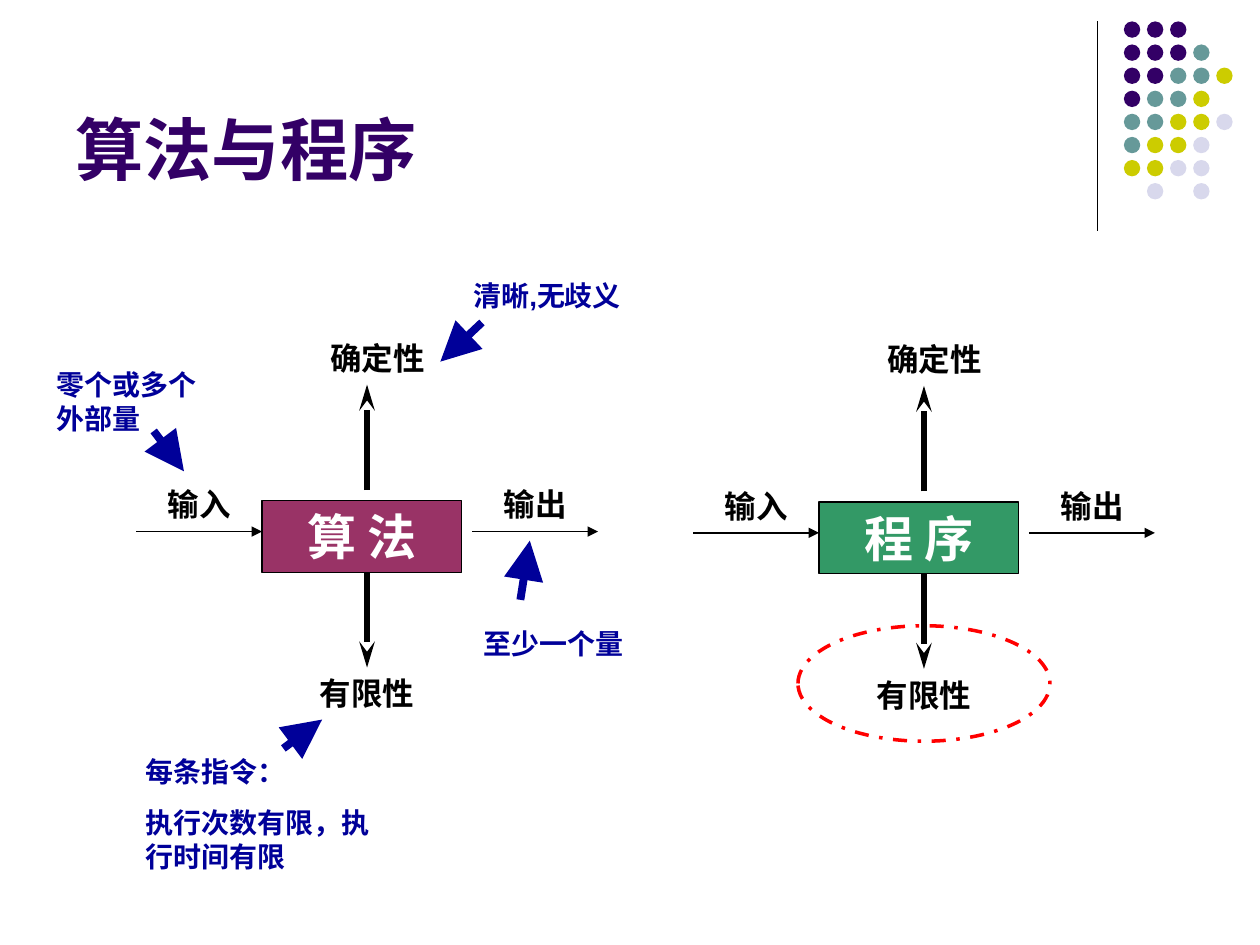
from collections import namedtuple

from lxml.etree import SubElement
from pptx import Presentation
from pptx.dml.color import RGBColor
from pptx.enum.dml import MSO_LINE
from pptx.enum.shapes import MSO_CONNECTOR, MSO_SHAPE
from pptx.enum.text import MSO_ANCHOR, PP_ALIGN
from pptx.oxml.ns import qn
from pptx.util import Inches, Pt

Box = namedtuple("Box", "left top width height")
CELL = 1 / 12
BLACK, PURPLE, NAVY = "000000", "330066", "000099"
DOT_COLORS = {"P": PURPLE, "T": "669999", "Y": "CCCC00", "L": "D8D8EC"}
DOT_ROWS = ("PPP", "PPPT", "PPTTY", "PTTY", "TTYYL", "TYYL", "YYLL", " L L")


def color(value):
    return RGBColor.from_string(value)


def inches(values):
    return [Inches(value) for value in values]


def cells(box, column, row, columns, rows):
    return Box(box.left + column * CELL, box.top + row * CELL,
               columns * CELL, rows * CELL)


def point(box, column, row):
    return box.left + column * CELL, box.top + row * CELL


def share(box, across, down):
    return box.left + across * box.width, box.top + down * box.height


def write(shape, lines, size, fill, align=PP_ALIGN.LEFT,
          anchor=MSO_ANCHOR.TOP, gap=0):
    frame = shape.text_frame
    frame.word_wrap = True
    frame.vertical_anchor = anchor
    for index, line in enumerate(lines):
        paragraph = frame.add_paragraph() if index else frame.paragraphs[0]
        paragraph.alignment = align
        paragraph.space_before = Pt(gap if index else 0)
        run = paragraph.add_run()
        run.text = line
        run.font.name = "Arial"
        run.font.size = Pt(size)
        run.font.bold = True
        run.font.color.rgb = color(fill)


def add_text(slide, box, lines, size, fill, **options):
    write(slide.shapes.add_textbox(*inches(box)), lines, size, fill, **options)


def add_shape(slide, kind, box, fill=None, line=None, width=0.75):
    shape = slide.shapes.add_shape(kind, *inches(box))
    shape.shadow.inherit = False
    if fill:
        shape.fill.solid()
        shape.fill.fore_color.rgb = color(fill)
    else:
        shape.fill.background()
    if line:
        shape.line.color.rgb = color(line)
        shape.line.width = Pt(width)
    else:
        shape.line.fill.background()
    return shape


def add_line(slide, start, end, fill=BLACK, width=0.75, **head):
    connector = slide.shapes.add_connector(
        MSO_CONNECTOR.STRAIGHT, *inches(start + end))
    connector.line.color.rgb = color(fill)
    connector.line.width = Pt(width)
    if head:
        SubElement(connector.line._get_or_add_ln(), qn("a:tailEnd"), **head)
    SubElement(connector._element.spPr, qn("a:effectLst"))


def draw_dots(slide, box):
    add_line(slide, (box.left, box.top), (box.left, box.top + box.height))
    pitch = 2.2 * CELL
    for row, marks in enumerate(DOT_ROWS):
        for column, mark in enumerate(marks):
            if mark in DOT_COLORS:
                dot = Box(box.left + 0.21 + column * pitch,
                          box.top + row * pitch, 0.13, 0.13)
                add_shape(slide, MSO_SHAPE.OVAL, dot, DOT_COLORS[mark])


def draw_title(slide, box):
    add_text(slide, box, ["算法与程序"], 39, PURPLE, anchor=MSO_ANCHOR.BOTTOM)


def draw_properties(slide, box, name, fill):
    core = add_shape(slide, MSO_SHAPE.RECTANGLE,
                     cells(box, 12, 16, 19, 6.85), fill, BLACK)
    write(core, [name], 28, "FFFFFF", align=PP_ALIGN.CENTER)
    for column in (0, 32):
        add_line(slide, point(box, column, 18.95),
                 point(box, column + 12, 18.95), type="triangle")
    for start, end in ((15, 4.95), (22.9, 31.9)):
        add_line(slide, point(box, 22, start), point(box, 22, end),
                 width=3, type="stealth", w="med", len="lg")
    for text, column, row, columns in (
            ("输入", 1, 13.95, 10), ("输出", 33, 13.95, 10),
            ("确定性", 14, 0, 18), ("有限性", 13, 31.95, 18)):
        add_text(slide, cells(box, column, row, columns, 4.8), [text], 18,
                 BLACK, align=PP_ALIGN.CENTER)


def draw_emphasis(slide, box):
    ellipse = add_shape(slide, MSO_SHAPE.OVAL, box, line="FF0000", width=2)
    ellipse.line.dash_style = MSO_LINE.DASH_DOT


def draw_note(slide, box, lines, start, end):
    add_text(slide, box, lines, 16, NAVY, gap=10)
    add_line(slide, share(box, *start), share(box, *end), NAVY, 4.5,
             type="triangle", w="lg", len="lg")


def main():
    presentation = Presentation()
    presentation.slide_width, presentation.slide_height = inches((10, 7.5))
    slide = presentation.slides.add_slide(presentation.slide_layouts[6])

    draw_dots(slide, Box(8.71, 0.17, 1.07, 1.66))
    draw_title(slide, Box(0.5, 0.13, 8.25, 1.42))
    algorithm = Box(1.08, 2.64, 3.67, 3.06)
    program = Box(5.5, 2.65, 3.67, 3.06)
    draw_properties(slide, algorithm, "算 法", "993366")
    draw_properties(slide, program, "程 序", "339966")
    draw_emphasis(slide, cells(program, 10, 27.8, 24, 11))

    draw_note(slide, Box(0.35, 2.87, 1.5, 0.64), ["零个或多个外部量"],
              (0.58, 0.86), (0.74, 1.36))
    draw_note(slide, Box(3.66, 2.16, 1.5, 0.37), ["清晰,无歧义"],
              (0.11, 1.08), (-0.11, 1.92))
    draw_note(slide, Box(1.06, 5.94, 2.05, 1.04),
              ["每条指令：", "执行次数有限，执行时间有限"],
              (0.58, 0), (0.73, -0.22))
    draw_note(slide, Box(3.74, 4.92, 1.5, 0.37), ["至少一个量"],
              (0.26, -0.43), (0.31, -1.7))
    presentation.save("out.pptx")


if __name__ == "__main__":
    main()
